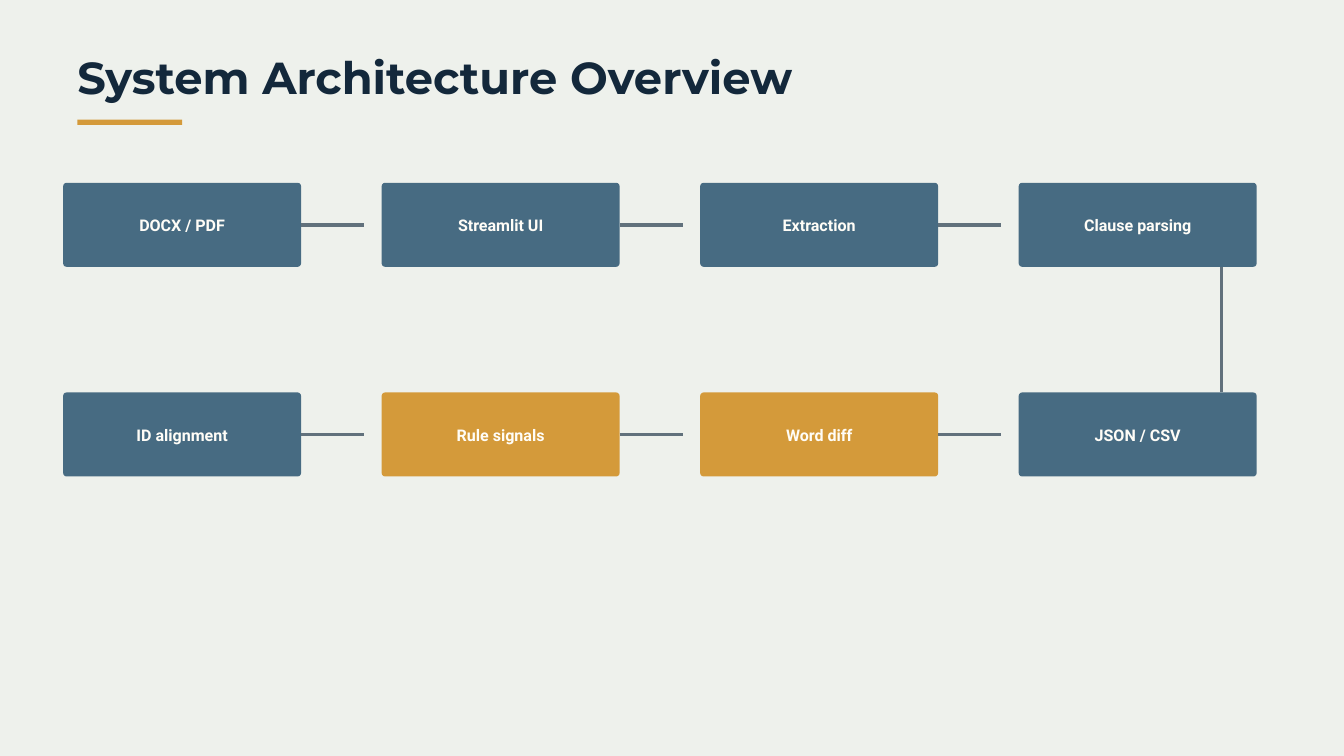
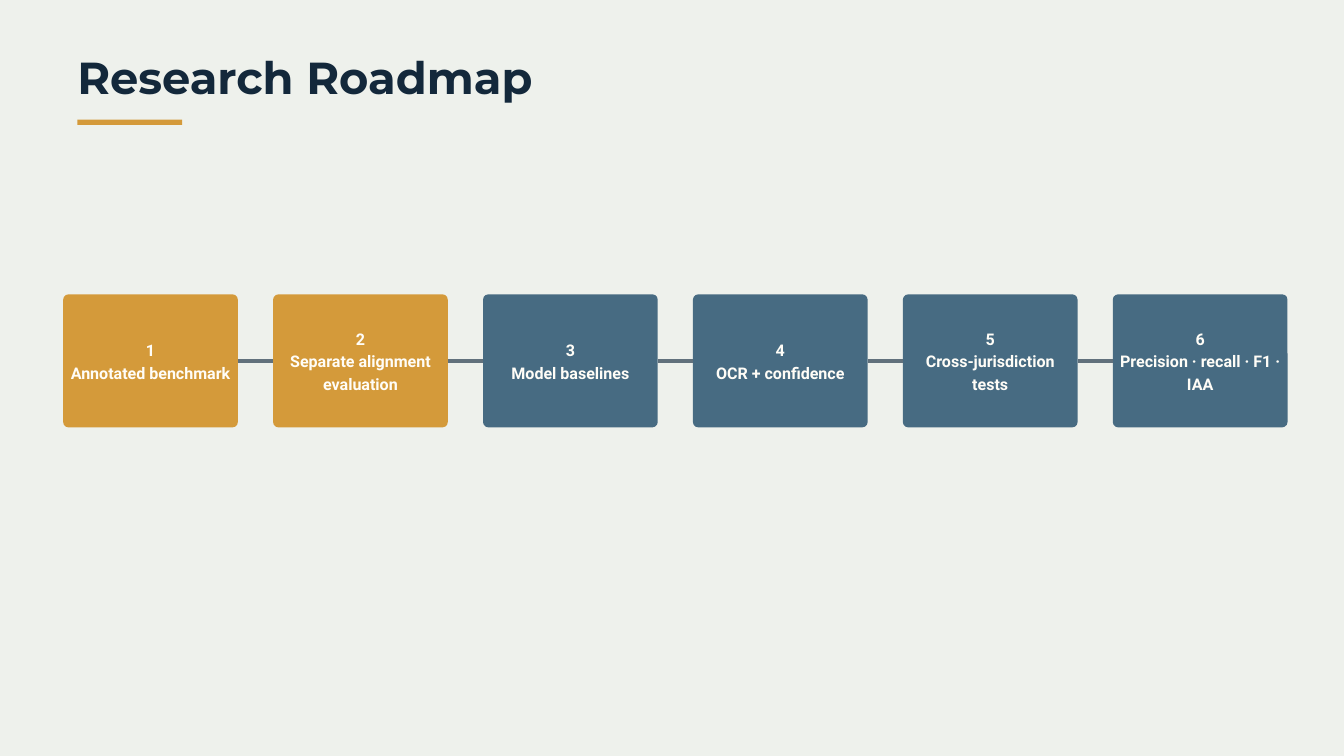
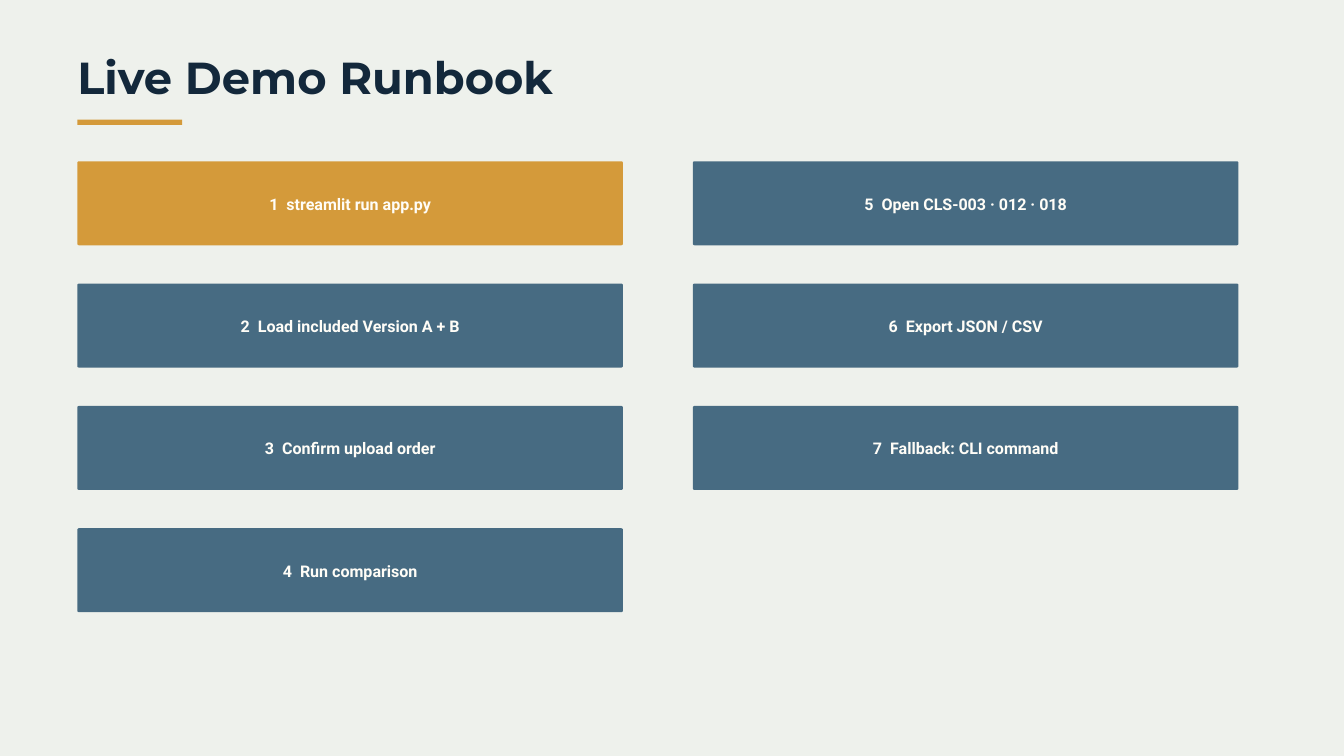
from lxml import etree
from pptx import Presentation
from pptx.dml.color import RGBColor
from pptx.enum.shapes import MSO_CONNECTOR, MSO_SHAPE
from pptx.enum.text import MSO_ANCHOR, MSO_AUTO_SIZE, PP_ALIGN
from pptx.oxml.ns import qn
from pptx.util import Inches, Pt

RECTANGLE = MSO_SHAPE.RECTANGLE
ROUNDED = MSO_SHAPE.ROUNDED_RECTANGLE
STRAIGHT = MSO_CONNECTOR.STRAIGHT
LEFT_SIDE, RIGHT_SIDE = 1, 3
TITLE_ONLY = 5

PAPER, NAVY, STEEL = "EEF1EC", "13283B", "476B82"
AMBER, SLATE, CREAM = "D49A3A", "61717C", "FFFDF7"
TITLE_FONT, BODY_FONT = "Montserrat", "Roboto"

ARCHITECTURE = [
    [("DOCX / PDF", STEEL), ("Streamlit UI", STEEL),
     ("Extraction", STEEL), ("Clause parsing", STEEL)],
    [("ID alignment", STEEL), ("Rule signals", AMBER),
     ("Word diff", AMBER), ("JSON / CSV", STEEL)],
]
ROADMAP = ["Annotated benchmark", "Separate alignment evaluation",
           "Model baselines", "OCR + confidence",
           "Cross-jurisdiction tests", "Precision · recall · F1 · IAA"]
RUNBOOK = ["streamlit run app.py", "Load included Version A + B",
           "Confirm upload order", "Run comparison",
           "Open CLS-003 · 012 · 018", "Export JSON / CSV",
           "Fallback: CLI command"]


def color(value):
    return RGBColor.from_string(value)


def style_font(font, name, size, value):
    font.name = name
    font.size = Pt(size)
    font.bold = True
    font.color.rgb = color(value)


def add_block(page, kind, left, top, width, height, fill):
    """Add a flat filled shape without line or shadow."""
    block = page.shapes.add_shape(kind, Inches(left), Inches(top),
                                  Inches(width), Inches(height))
    block.shadow.inherit = False
    block.fill.solid()
    block.fill.fore_color.rgb = color(fill)
    block.line.fill.background()
    return block


def add_page(deck, title):
    """Add a slide with the shared title and the accent rule below it."""
    page = deck.slides.add_slide(deck.slide_layouts[TITLE_ONLY])
    heading = page.shapes.title
    heading.left, heading.top = Inches(1.15), Inches(0.82)
    heading.width, heading.height = Inches(15.62), Inches(0.73)
    frame = heading.text_frame
    frame.text = title
    frame.word_wrap = True
    frame.auto_size = MSO_AUTO_SIZE.NONE
    frame.vertical_anchor = MSO_ANCHOR.TOP
    frame.margin_left = frame.margin_right = 0
    frame.margin_top = frame.margin_bottom = 0
    para = frame.paragraphs[0]
    para.alignment = PP_ALIGN.LEFT
    para.line_spacing = Pt(51.8)
    style_font(para.runs[0].font, TITLE_FONT, 48, NAVY)
    add_block(page, RECTANGLE, 1.15, 1.78, 1.56, 0.08, AMBER)
    return page


def add_card(page, left, top, width, height, fill, text, rounding=0.04):
    card = add_block(page, ROUNDED, left, top, width, height, fill)
    card.adjustments[0] = rounding
    frame = card.text_frame
    frame.text = text
    frame.word_wrap = True
    frame.vertical_anchor = MSO_ANCHOR.MIDDLE
    frame.margin_left = frame.margin_right = Inches(0.04)
    frame.margin_top, frame.margin_bottom = Inches(0.03), Inches(0.06)
    for para in frame.paragraphs:
        para.alignment = PP_ALIGN.CENTER
        para.line_spacing = Pt(24.1)
        for span in para.runs:
            style_font(span.font, BODY_FONT, 17.2, CREAM)
    return card


def add_step_number(card, number):
    """Put a number before the card's label, spaced out by tracking."""
    para = card.text_frame.paragraphs[0]
    label = para.runs[0].text
    para.runs[0].text = f"{number} "
    para.runs[0].font._element.set("spc", "215")
    span = para.add_run()
    span.text = label
    style_font(span.font, BODY_FONT, 17.2, CREAM)


def add_link(page, x1, y1, x2, y2):
    link = page.shapes.add_connector(STRAIGHT, Inches(x1), Inches(y1),
                                     Inches(x2), Inches(y2))
    link.line.color.rgb = color(SLATE)
    link.line.width = Pt(3.75)
    etree.SubElement(link._element.spPr, qn("a:effectLst"))
    return link


def build_architecture(deck):
    page = add_page(deck, "System Architecture Overview")
    width, height, link_length = 3.54, 1.25, 0.94
    tops = (2.72, 5.84)
    for top, stages in zip(tops, ARCHITECTURE):
        for column, (name, fill) in enumerate(stages):
            left = 0.94 + column * 4.74
            card = add_card(page, left, top, width, height, fill, name)
            if column < len(stages) - 1:
                right, middle = left + width, top + height / 2
                link = add_link(page, right, middle,
                                right + link_length, middle)
                link.begin_connect(card, RIGHT_SIDE)
    add_link(page, 18.18, tops[0] + height, 18.18, tops[1])


def build_roadmap(deck):
    page = add_page(deck, "Research Roadmap")
    first_left, last_left, top, width, height = 0.94, 16.56, 4.38, 2.6, 1.98
    pitch = (last_left - first_left) / (len(ROADMAP) - 1)
    middle = top + height / 2
    previous = None
    for index, milestone in enumerate(ROADMAP):
        left = first_left + index * pitch
        fill = AMBER if index < 2 else STEEL
        card = add_card(page, left, top, width, height, fill,
                        f"{index + 1}\n{milestone}")
        if previous is not None:
            link = add_link(page, left - pitch + width, middle, left, middle)
            link.begin_connect(previous, RIGHT_SIDE)
            link.end_connect(card, LEFT_SIDE)
        previous = card


def build_runbook(deck):
    page = add_page(deck, "Live Demo Runbook")
    for index, step in enumerate(RUNBOOK):
        column, row = divmod(index, 4)
        fill = AMBER if index == 0 else STEEL
        card = add_card(page, 1.15 + column * 9.16, 2.4 + row * 1.82,
                        8.12, 1.25, fill, step, rounding=0.02)
        add_step_number(card, index + 1)


def main():
    deck = Presentation()
    deck.slide_width, deck.slide_height = Inches(20), Inches(11.25)
    background = deck.slide_master.background.fill
    background.solid()
    background.fore_color.rgb = color(PAPER)
    build_architecture(deck)
    build_roadmap(deck)
    build_runbook(deck)
    deck.save("out.pptx")


if __name__ == "__main__":
    main()
